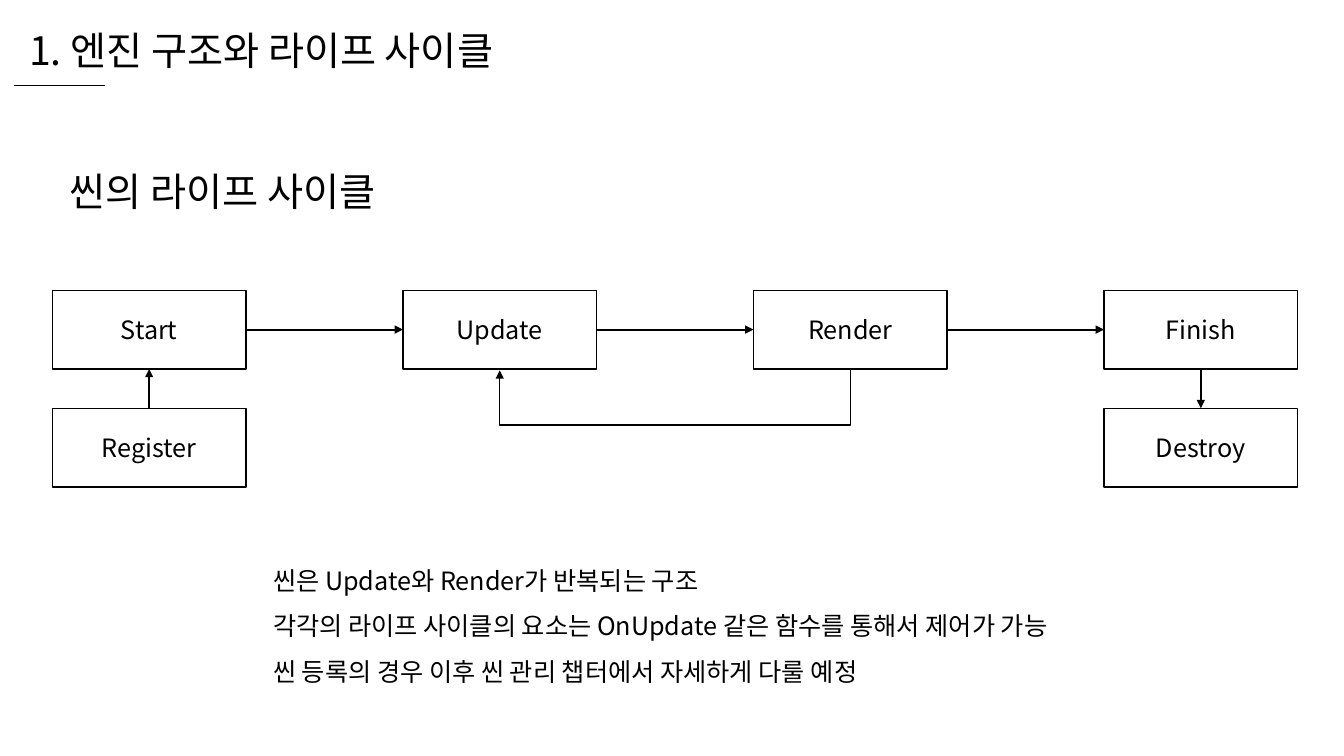
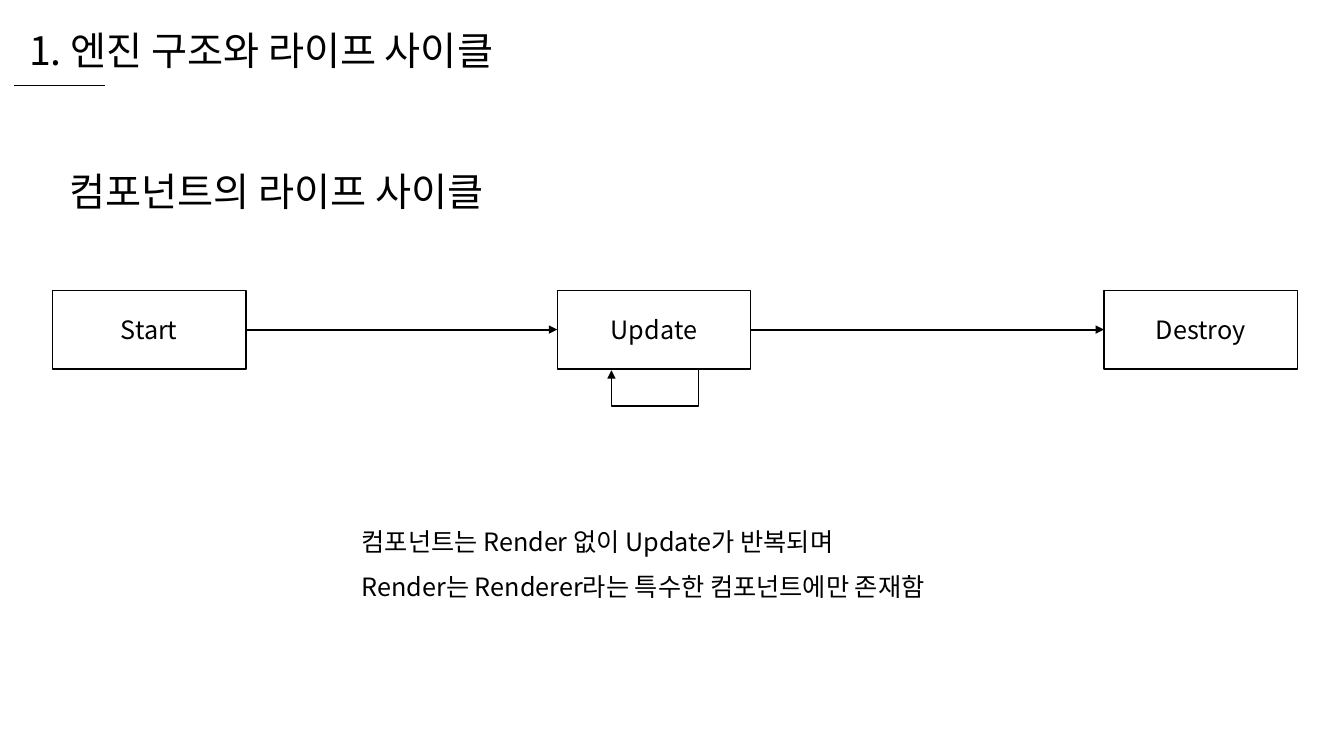
import dataclasses
import itertools

import lxml.etree
import pptx
import pptx.dml.color
import pptx.enum.shapes
import pptx.enum.text
import pptx.oxml.ns
import pptx.util

COLORS = {"ink": "000000", "paper": "FFFFFF"}
FONT = "Noto Sans CJK KR"
WIDTH, HEIGHT = pptx.util.Inches(13.33), pptx.util.Inches(7.5)
COLUMN, ROW = WIDTH / 100, HEIGHT / 100
NODE_WIDTH = 14.4 * COLUMN
TOP, LEFT, BOTTOM, RIGHT = range(4)
CHAPTER = "1. 엔진 구조와 라이프 사이클"


@dataclasses.dataclass
class Box:
    left: float
    top: float
    width: float
    height: float

    def emu(self):
        return [round(v) for v in (self.left, self.top, self.width, self.height)]


def grid_box(column, row, columns, rows):
    return Box(column * COLUMN, row * ROW, columns * COLUMN, rows * ROW)


def color(name):
    return pptx.dml.color.RGBColor.from_string(COLORS[name])


def add_child(parent, tag, **attributes):
    return lxml.etree.SubElement(parent, pptx.oxml.ns.qn(tag), attributes)


def write(frame, lines, size, spacing=None, align=None):
    for index, line in enumerate(lines):
        paragraph = frame.add_paragraph() if index else frame.paragraphs[0]
        paragraph.text = line
        paragraph.alignment = align
        paragraph.line_spacing = spacing
        paragraph.font.size = pptx.util.Pt(size)
        paragraph.font.color.rgb = color("ink")
        paragraph.font.name = FONT
        add_child(paragraph.font._element, "a:ea", typeface=FONT)


def add_text(slide, box, lines, size, spacing=None, wrap=False):
    frame = slide.shapes.add_textbox(*box.emu()).text_frame
    frame.word_wrap = wrap
    frame.auto_size = pptx.enum.text.MSO_AUTO_SIZE.SHAPE_TO_FIT_TEXT
    write(frame, lines, size, spacing)


def add_line(slide, kind, ends, weight, arrow=True):
    line = slide.shapes.add_connector(kind, *[round(v) for v in ends])
    line.line.color.rgb = color("ink")
    line.line.width = pptx.util.Pt(weight)
    if arrow:
        add_child(line.line._get_or_add_ln(), "a:tailEnd", type="triangle")
    add_child(line._element.spPr, "a:effectLst")
    return line


def add_header(slide, box, subject):
    straight = pptx.enum.shapes.MSO_CONNECTOR.STRAIGHT
    add_text(slide, grid_box(1.43, 2.8, 38, 7.6), [CHAPTER], 28)
    underline = box.top + box.height
    add_line(slide, straight,
             (box.left, underline, box.left + box.width, underline), 0.5, arrow=False)
    add_text(slide, grid_box(4.43, 18.4, 33.7, 9.73), [subject], 28, 1.5)


def add_node(slide, box, label):
    node = slide.shapes.add_shape(pptx.enum.shapes.MSO_SHAPE.RECTANGLE, *box.emu())
    node.shadow.inherit = False
    node.fill.solid()
    node.fill.fore_color.rgb = color("paper")
    node.line.color.rgb = color("ink")
    node.line.width = pptx.util.Pt(1)
    node.text_frame.vertical_anchor = pptx.enum.text.MSO_ANCHOR.MIDDLE
    write(node.text_frame, [label], 18, align=pptx.enum.text.PP_ALIGN.CENTER)
    return node


def add_arrow(slide, source, source_side, target, target_side):
    arrow = add_line(slide, pptx.enum.shapes.MSO_CONNECTOR.STRAIGHT, (0, 0, 0, 0), 1.5)
    arrow.begin_connect(source, source_side)
    arrow.end_connect(target, target_side)


def add_loop(slide, source, source_share, target, target_share, drop):
    start = source.left + source.width * source_share
    end = target.left + target.width * target_share
    span, depth = start - end, pptx.util.Pt(1)
    center_x = (start + end) / 2
    center_y = source.top + source.height + depth / 2
    loop = add_line(slide, pptx.enum.shapes.MSO_CONNECTOR.ELBOW,
                    (center_x - depth / 2, center_y - span / 2,
                     center_x + depth / 2, center_y + span / 2), 1)
    properties = loop._element.spPr
    properties.find(pptx.oxml.ns.qn("a:xfrm")).set("rot", str(90 * 60000))
    geometry = properties.find(pptx.oxml.ns.qn("a:prstGeom"))
    adjustments = geometry.find(pptx.oxml.ns.qn("a:avLst"))
    if adjustments is None:
        adjustments = add_child(geometry, "a:avLst")
    add_child(adjustments, "a:gd", name="adj1", fmla=f"val {round(drop / depth * 100000)}")


def add_flow(slide, box, stages, loop, before=None, after=None):
    unit = box.height / 5

    def place(share, row, label):
        left = box.left + share * (box.width - NODE_WIDTH)
        return add_node(slide, Box(left, box.top + 3 * row * unit, NODE_WIDTH, 2 * unit), label)

    nodes = {label: place(share, 0, label) for label, share in stages}
    chain = list(nodes.values())
    for source, target in itertools.pairwise(chain):
        add_arrow(slide, source, RIGHT, target, LEFT)
    if before:
        add_arrow(slide, place(0, 1, before), TOP, chain[0], BOTTOM)
    if after:
        add_arrow(slide, chain[-1], BOTTOM, place(1, 1, after), TOP)
    source, source_share, target, target_share, drop = loop
    add_loop(slide, nodes[source], source_share, nodes[target], target_share, drop * unit)


def add_lifecycle_slide(deck, subject, flow, notes_box, notes):
    slide = deck.slides.add_slide(deck.slide_layouts[6])
    add_header(slide, grid_box(1.05, 0, 6.75, 11.33), subject)
    add_flow(slide, grid_box(3.9, 38.4, 92.65, 26), **flow)
    add_text(slide, notes_box, notes, 18, 1.5, wrap=True)


def main():
    deck = pptx.Presentation()
    deck.slide_width, deck.slide_height = WIDTH, HEIGHT
    scene_stages = ["Start", "Update", "Render", "Finish"]
    add_lifecycle_slide(
        deck,
        "씬의 라이프 사이클",
        {
            "stages": [(label, index / 3) for index, label in enumerate(scene_stages)],
            "loop": ("Render", 0.5, "Update", 0.5, 1.44),
            "before": "Register",
            "after": "Destroy",
        },
        grid_box(19.58, 72.13, 61.44, 18.8),
        [
            "씬은 Update와 Render가 반복되는 구조",
            "각각의 라이프 사이클의 요소는 OnUpdate 같은 함수를 통해서 제어가 가능",
            "씬 등록의 경우 이후 씬 관리 챕터에서 자세하게 다룰 예정",
        ],
    )
    add_lifecycle_slide(
        deck,
        "컴포넌트의 라이프 사이클",
        {
            "stages": [("Start", 0), ("Update", 0.48), ("Destroy", 1)],
            "loop": ("Update", 0.73, "Update", 0.28, 0.95),
        },
        grid_box(26.18, 66.93, 44.94, 12.8),
        [
            "컴포넌트는 Render 없이 Update가 반복되며",
            "Render는 Renderer라는 특수한 컴포넌트에만 존재함",
        ],
    )
    deck.save("out.pptx")


if __name__ == "__main__":
    main()
